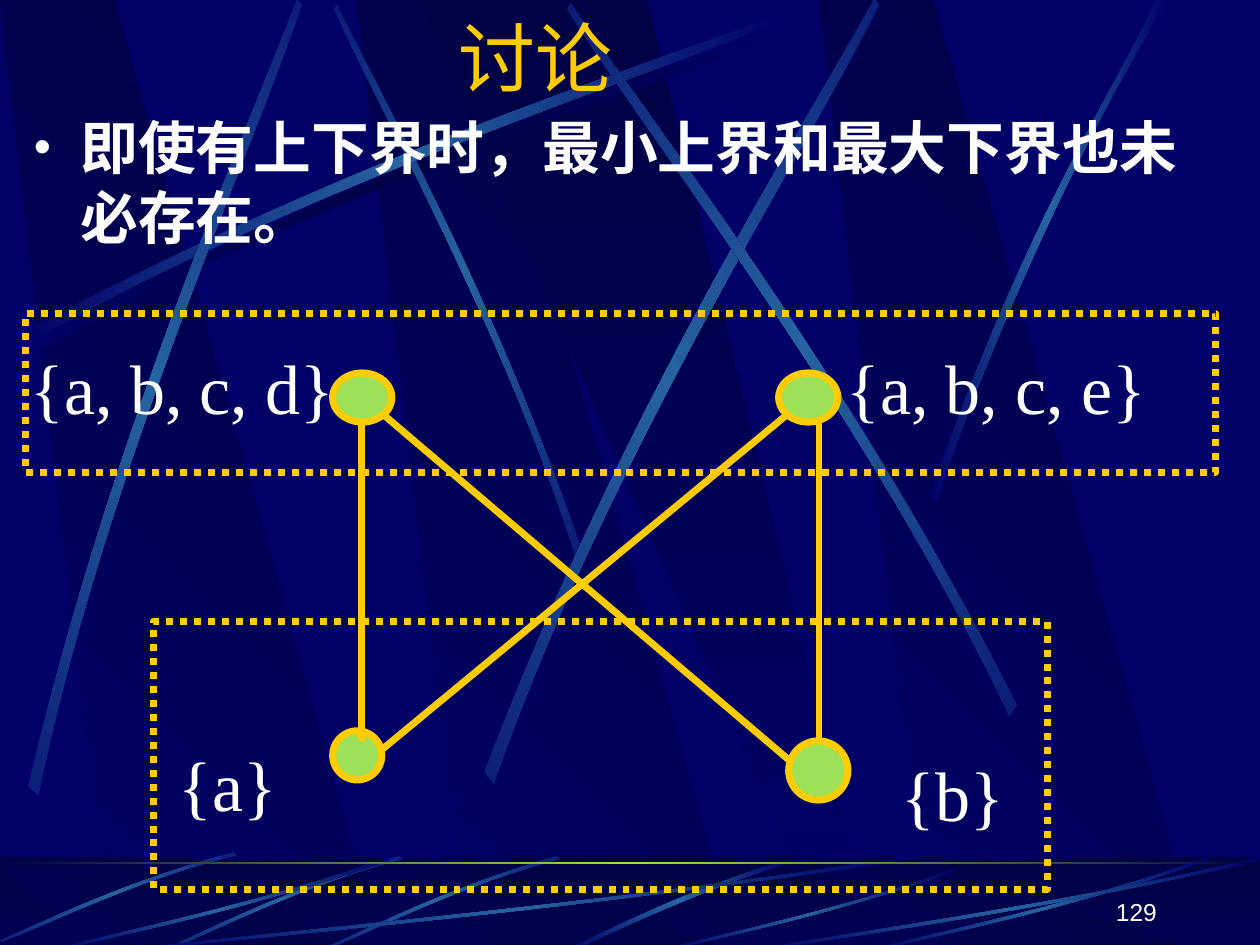
"""Build the discussion slide on least upper and greatest lower bounds."""
from dataclasses import dataclass

import lxml.etree
import pptx
import pptx.dml.color
import pptx.enum.dml
import pptx.enum.shapes
import pptx.enum.text
import pptx.oxml.ns
import pptx.util

Inches = pptx.util.Inches
Preset = pptx.enum.shapes.MSO_SHAPE
Align = pptx.enum.text.PP_ALIGN
Anchor = pptx.enum.text.MSO_ANCHOR
qn = pptx.oxml.ns.qn

NAVY, DARK, BLUE = "000066", "000044", "2663A0"
GOLD, GREEN, WHITE = "FFCC00", "9CE157", "FFFFFF"
GLOW, SHADE = (NAVY, BLUE, NAVY), (NAVY, DARK, NAVY)

SLANTED = [(0.29, 1), (1, 1), (0.3, 0), (0, 0)]
WIDE = [(0, 0), (0.9, 1), (1, 1), (0.5, 0)]
STREAK = [(0, 0.96), (0.43, 0.43), (0.83, 0.15), (1, 0),
          (1, 0.02), (0.83, 0.19), (0.38, 0.5), (0, 1)]
TALL_STREAK = [(0, 0.99), (0.4, 0.44), (0.79, 0.17), (0.95, 0),
               (1, 0), (0.52, 0.37), (0.16, 0.81), (0.03, 1)]
LOW_STREAK = [(0.99, 0), (0.49, 0.37), (0.16, 0.82), (0, 0.99),
              (0.03, 1), (0.23, 0.77), (0.68, 0.25), (1, 0.04)]


@dataclass
class Frame:
    """Position and size in inches."""

    left: float
    top: float
    width: float
    height: float

    def lengths(self) -> list:
        """Return the four lengths for an add call."""
        return [Inches(value) for value in (self.left, self.top, self.width, self.height)]


@dataclass
class Ray:
    """A background streak between two cubic curves."""

    frame: Frame
    turn: float = 0
    mirror_x: bool = False
    mirror_y: bool = False
    outline: list | None = None
    colors: tuple = GLOW


@dataclass
class Label:
    """A line of text with its box and format."""

    text: str
    frame: Frame
    size: float = 40
    font: str = "Times New Roman"
    align: Align = Align.CENTER
    anchor: Anchor = Anchor.MIDDLE
    wrap: bool = False
    color: str = WHITE
    bold: bool = False


UPPER_RAYS = [
    Ray(Frame(0.2, 0.18, 6.08, 2.67), colors=SHADE),
    Ray(Frame(1.41, 1.35, 4.42, 1.75), 45, True),
    Ray(Frame(0.14, 0.1, 6.08, 2.67)),
    Ray(Frame(-1.71, 1.82, 6.08, 2.67), 311.7),
    Ray(Frame(2.31, 1.6, 6.24, 3.01), 321.6),
    Ray(Frame(3.23, 1.52, 6.08, 2.67), 34.7, True),
    Ray(Frame(7.38, 0, 1.89, 3.97), outline=TALL_STREAK),
]
LOWER_RAYS = [
    Ray(Frame(4.48, 6.82, 1.8, 0.73), outline=LOW_STREAK),
    Ray(Frame(2.58, 6.76, 1.84, 0.83), 315, True),
    Ray(Frame(1.33, 6.76, 1.84, 0.83), 315, True),
    Ray(Frame(0.04, 6.7, 1.8, 0.85), 315, True),
    *[Ray(Frame(left, 7.55 - height, width, height), 0, True, True)
      for left, width, height in ((1, 6.17, 0.75), (0.42, 2.67, 0.75), (5.27, 2.31, 0.66),
                                  (6.92, 2.67, 0.75), (6, 4, 0.75))],
]
NODES = [Frame(2.64, 5.8, 0.39, 0.39), Frame(6.26, 5.88, 0.47, 0.47),
         Frame(2.64, 2.96, 0.47, 0.39), Frame(6.18, 2.96, 0.47, 0.39)]
EDGES = [(2.87, 3.36, 2.87, 5.88), (3.03, 5.95, 6.26, 3.28),
         (6.5, 3.36, 6.5, 5.88), (3.03, 3.28, 6.26, 6.03)]
LABELS = [
    Label("{a, b, c, d}", Frame(0.22, 2.57, 2.46, 1)),
    Label("{a, b, c, e}", Frame(6.68, 2.57, 2.46, 1)),
    Label("{a}", Frame(1.22, 5.72, 1.18, 1)),
    Label("{b}", Frame(6.97, 5.8, 1.18, 1)),
]
GROUPS = [Frame(1.22, 4.93, 7.09, 2.13), Frame(0.2, 2.49, 9.45, 1.26)]
TITLE = Label("讨论", Frame(0, 0, 8.5, 0.9), 44, "Montserrat", wrap=True, color=GOLD)
BODY = Label("即使有上下界时，最小上界和最大下界也未必存在。", Frame(0.17, 0.84, 9.67, 5.83), 33,
             "Arial", Align.LEFT, Anchor.TOP, True, bold=True)
NUMBER = Label("129", Frame(7.2, 6.9, 2.08, 0.5), 14, "Arial", Align.RIGHT, Anchor.BOTTOM, True)


def rgb(value: str) -> pptx.dml.color.RGBColor:
    """Turn a hex string into a colour."""
    return pptx.dml.color.RGBColor.from_string(value)


def blend(shape, colors: tuple, angle: float = 0) -> None:
    """Give a shape an evenly spaced gradient, clockwise from left to right."""
    shape.shadow.inherit = False
    shape.line.fill.background()
    shape.fill.gradient()
    shape.fill.gradient_angle = -angle % 360
    stops = shape.element.find(".//" + qn("a:gsLst"))
    stops.clear()
    for index, color in enumerate(colors):
        position = str(100000 * index // (len(colors) - 1))
        stop = lxml.etree.SubElement(stops, qn("a:gs"), pos=position)
        lxml.etree.SubElement(stop, qn("a:srgbClr"), val=color)


def add_outline(slide, frame: Frame, points: list):
    """Draw a closed outline given in fractions of its frame."""
    spots = [(Inches(frame.left + x * frame.width), Inches(frame.top + y * frame.height))
             for x, y in points]
    builder = slide.shapes.build_freeform(*spots[0])
    builder.add_line_segments(spots[1:])
    return builder.convert_to_shape()


def add_ray(slide, ray: Ray):
    """Draw one streak, turning its long sides into cubic curves."""
    points = [(1 - x if ray.mirror_x else x, 1 - y if ray.mirror_y else y)
              for x, y in ray.outline or STREAK]
    shape = add_outline(slide, ray.frame, points)
    lines = shape.element.findall(".//" + qn("a:lnTo"))
    for side in (lines[:3], lines[4:7]):
        curve = lxml.etree.Element(qn("a:cubicBezTo"))
        side[0].addprevious(curve)
        for line in side:
            curve.append(line[0])
            line.getparent().remove(line)
    shape.rotation = ray.turn
    blend(shape, ray.colors)
    return shape


def add_panels(slide, top: float, height: float) -> list:
    """Draw the slanted panels of one band."""
    panels = []
    for left in (2.83, 0, 6.5):
        panels.append(add_outline(slide, Frame(left, top, 3.02, height), SLANTED))
        blend(panels[-1], (NAVY, DARK), 315)
    panels.append(add_outline(slide, Frame(3.33, top, 3.61, height), WIDE))
    blend(panels[-1], (DARK, NAVY), 90)
    return panels


def add_band(slide, frame: Frame, colors: tuple, angle: float = 0):
    """Draw a gradient rectangle."""
    band = slide.shapes.add_shape(Preset.RECTANGLE, *frame.lengths())
    blend(band, colors, angle)
    return band


def draw_backdrop(deck, slide) -> None:
    """Draw the backdrop and hand it to the slide master."""
    floor = Frame(0, 6.8, 10, 0.75)
    parts = add_panels(slide, 0, 7.52)
    parts += [add_ray(slide, ray) for ray in UPPER_RAYS]
    parts.append(add_band(slide, floor, (DARK, NAVY), 90))
    parts += add_panels(slide, 6.88, 0.67)
    veil = add_band(slide, floor, (DARK, DARK))
    veil.fill.solid()
    veil.fill.fore_color.rgb = rgb(DARK)
    tint = veil.element.spPr.find(".//" + qn("a:srgbClr"))
    lxml.etree.SubElement(tint, qn("a:alpha"), val="50000")
    parts.append(veil)
    parts += [add_ray(slide, ray) for ray in LOWER_RAYS]
    parts.append(add_band(slide, Frame(0, 6.84, 10, 0.02), (DARK, GREEN, DARK)))
    for part in parts:
        deck.slide_master.shapes.element.append(part.element)


def write(box, label: Label, bullet: bool = False) -> None:
    """Place and format a text box or placeholder."""
    box.left, box.top, box.width, box.height = label.frame.lengths()
    frame = box.text_frame
    frame.text = label.text
    frame.word_wrap = label.wrap
    if not label.wrap:
        frame.margin_left = frame.margin_right = 0
    frame.vertical_anchor = label.anchor
    para = frame.paragraphs[0]
    para.alignment = label.align
    if bullet:
        props = para._p.get_or_add_pPr()
        props.set("marL", str(Inches(0.37)))
        props.set("indent", str(-Inches(0.37)))
        lxml.etree.SubElement(props, qn("a:buSzPct"), val="85000")
        lxml.etree.SubElement(props, qn("a:buFont"), typeface="Arial")
        lxml.etree.SubElement(props, qn("a:buChar"), char="•")
    font = para.runs[0].font
    font.name, font.size, font.bold = label.font, pptx.util.Pt(label.size), label.bold
    font.color.rgb = rgb(label.color)


def stroke(line) -> None:
    """Give a line the gold stroke."""
    line.color.rgb = rgb(GOLD)
    line.width = pptx.util.Pt(4)


def add_node(slide, frame: Frame) -> None:
    """Draw one element of the ordered set."""
    node = slide.shapes.add_shape(Preset.OVAL, *frame.lengths())
    node.shadow.inherit = False
    node.fill.solid()
    node.fill.fore_color.rgb = rgb(GREEN)
    stroke(node.line)


def add_edge(slide, ends: tuple) -> None:
    """Draw one order relation."""
    edge = slide.shapes.add_connector(pptx.enum.shapes.MSO_CONNECTOR.STRAIGHT, *map(Inches, ends))
    stroke(edge.line)
    lxml.etree.SubElement(edge.element.spPr, qn("a:effectLst"))


def add_group(slide, frame: Frame) -> None:
    """Draw a dotted rectangle around a set of bounds."""
    group = slide.shapes.add_shape(Preset.RECTANGLE, *frame.lengths())
    group.shadow.inherit = False
    group.fill.background()
    stroke(group.line)
    group.line.dash_style = pptx.enum.dml.MSO_LINE.ROUND_DOT


def main() -> None:
    """Build and save the deck."""
    deck = pptx.Presentation()
    deck.slide_width, deck.slide_height = Inches(10), Inches(7.5)
    backdrop = deck.slide_master.background.fill
    backdrop.solid()
    backdrop.fore_color.rgb = rgb(NAVY)
    slide = deck.slides.add_slide(deck.slide_layouts.get_by_name("Title Only"))
    draw_backdrop(deck, slide)
    write(slide.shapes.title, TITLE)
    write(slide.shapes.add_textbox(*BODY.frame.lengths()), BODY, bullet=True)
    for node in NODES:
        add_node(slide, node)
    for ends in EDGES:
        add_edge(slide, ends)
    for label in LABELS:
        write(slide.shapes.add_textbox(*label.frame.lengths()), label)
    for group in GROUPS:
        add_group(slide, group)
    write(slide.shapes.add_textbox(*NUMBER.frame.lengths()), NUMBER)
    deck.save("out.pptx")


if __name__ == "__main__":
    main()
